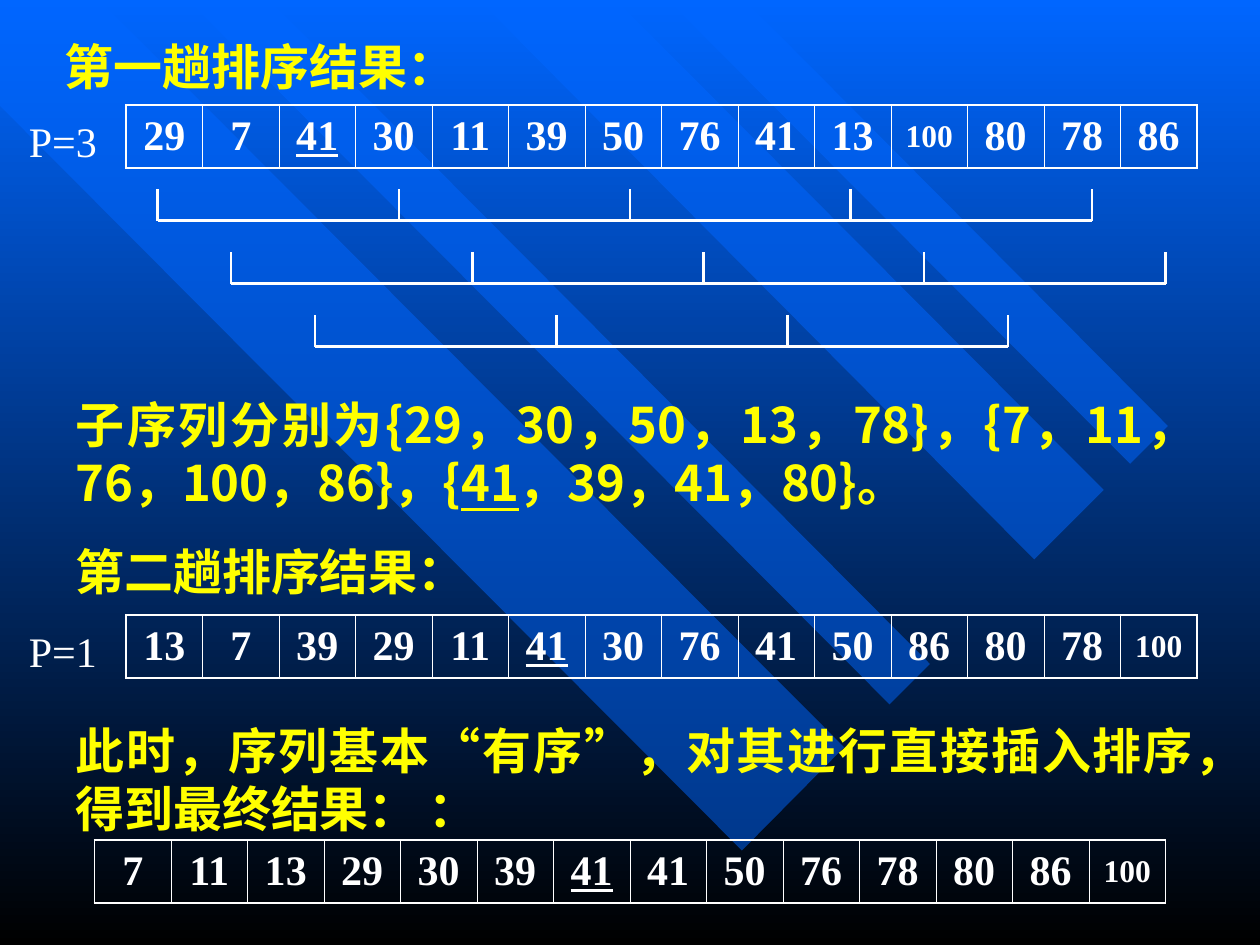
from dataclasses import dataclass

from pptx import Presentation
from pptx import util as u
from pptx.dml import color
from pptx.enum import lang, shapes, text
from pptx.oxml import xmlchemy
from pptx.oxml import ns


@dataclass(frozen=True)
class Theme:
    blue: str = "0066FF"
    black: str = "000000"
    white: str = "FFFFFF"
    yellow: str = "FFFF00"
    chinese_font: str = "Noto Sans CJK SC"
    number_font: str = "Times New Roman"
    heading_size: float = 28
    number_size: float = 24
    long_number_size: float = 18
    line_height: float = 33.1
    paragraph_gap: float = 17.5
    bracket_width: float = 1.5
    outer_border: float = 1.08
    inner_border: float = 0.45


def rgb(value):
    return color.RGBColor.from_string(value)


def add_child(parent, tag, **attributes):
    child = parent.makeelement(ns.qn(tag), attributes)
    parent.append(child)
    return child


class SlideBuilder:
    def __init__(self, slide, theme):
        self.slide = slide
        self.theme = theme

    def background(self):
        fill = self.slide.background.fill
        fill.gradient()
        fill.gradient_angle = 270
        stops = zip(fill.gradient_stops, (self.theme.blue, self.theme.black))
        for position, (stop, value) in enumerate(stops):
            stop.color.rgb = rgb(value)
            stop.position = position

    def band(self, points):
        """Draw a half-transparent diagonal band."""
        corners = [(u.Pt(x), u.Pt(y)) for x, y in points]
        builder = self.slide.shapes.build_freeform(*corners[0], scale=1.0)
        builder.add_line_segments(corners[1:], close=True)
        shape = builder.convert_to_shape()
        shape.shadow.inherit = False
        shape.line.fill.background()
        shape.fill.solid()
        shape.fill.fore_color.rgb = rgb(self.theme.blue)
        color_element = shape.fill._xPr.find(".//" + ns.qn("a:srgbClr"))
        add_child(color_element, "a:alpha", val="50000")

    def run(self, paragraph, words, size, value, name, bold=True):
        """Add one run; a leading underscore marks underlined words."""
        run = paragraph.add_run()
        run.text = words.removeprefix("_")
        font = run.font
        font.size, font.bold, font.name = u.Pt(size), bold, name
        font.color.rgb = rgb(value)
        if words.startswith("_"):
            font.underline = True
        if name == self.theme.chinese_font:
            font.language_id = lang.MSO_LANGUAGE_ID.SIMPLIFIED_CHINESE
            add_child(run._r.get_or_add_rPr(), "a:ea", typeface=name)

    def text_box(self, left, top, width, height, top_inset):
        shape = self.slide.shapes.add_textbox(*map(u.Pt, (left, top, width, height)))
        frame = shape.text_frame
        frame.word_wrap = True
        frame.margin_top = u.Pt(top_inset)
        return frame

    def prose(self, left, top, height, paragraphs):
        theme = self.theme
        frame = self.text_box(left, top, 654, height, 6.6)
        for index, runs in enumerate(paragraphs):
            paragraph = frame.add_paragraph() if index else frame.paragraphs[0]
            paragraph.alignment = text.PP_ALIGN.JUSTIFY
            paragraph.line_spacing = u.Pt(theme.line_height)
            if index:
                paragraph.space_before = u.Pt(theme.paragraph_gap)
            for words in runs:
                self.run(paragraph, words, theme.heading_size, theme.yellow,
                         theme.chinese_font)

    def step_label(self, top, words):
        frame = self.text_box(0, top, 72, 36, 6)
        paragraph = frame.paragraphs[0]
        paragraph.alignment = text.PP_ALIGN.CENTER
        self.run(paragraph, words, self.theme.number_size, self.theme.white,
                 self.theme.number_font, bold=False)

    def number_row(self, left, top, numbers):
        theme = self.theme
        count = len(numbers)
        width, height = 612, 36
        table = self.slide.shapes.add_table(
            1, count, *map(u.Pt, (left, top, width, height))).table
        table.first_row = table.horz_banding = False
        for index, number in enumerate(numbers):
            table.columns[index].width = u.Pt(width / count)
            cell = table.cell(0, index)
            self.borders(cell, index == 0, index == count - 1)
            cell.fill.background()
            cell.vertical_anchor = text.MSO_ANCHOR.MIDDLE
            paragraph = cell.text_frame.paragraphs[0]
            paragraph.alignment = text.PP_ALIGN.CENTER
            size = theme.long_number_size if number == "100" else theme.number_size
            self.run(paragraph, number, size, theme.white, theme.number_font)

    def borders(self, cell, is_first, is_last):
        properties = cell._tc.get_or_add_tcPr()
        sides = {"L": is_first, "R": is_last, "T": True, "B": True}
        for side, is_outer in sides.items():
            width = self.theme.outer_border if is_outer else self.theme.inner_border
            line = add_child(properties, f"a:ln{side}", w=str(u.Pt(width)))
            fill = add_child(line, "a:solidFill")
            add_child(fill, "a:srgbClr", val=self.theme.white)

    def line(self, x1, y1, x2, y2):
        connector = self.slide.shapes.add_connector(
            shapes.MSO_CONNECTOR.STRAIGHT, *map(u.Pt, (x1, y1, x2, y2)))
        connector.line.color.rgb = rgb(self.theme.white)
        connector.line.width = u.Pt(self.theme.bracket_width)
        add_child(connector._element.spPr, "a:effectLst")

    def bracket(self, top, teeth):
        """Join the members of one subsequence with a comb."""
        base = top + 18
        for x in teeth:
            self.line(x, top, x, base)
        self.line(teeth[0], base, teeth[-1], base)


BANDS = [
    [(482.4, 427), (56.9, 0), (0, 0), (0, 60.5), (424, 486)],
    [(154, 0), (531.4, 379.4), (508.3, 402.5), (107.3, 0)],
    [(352, 0), (630.7, 280), (591, 319.7), (273.6, 0)],
    [(381.6, 0), (645.8, 265), (667.4, 243.4), (425.5, 0)],
]
FIRST_PASS = "29 7 _41 30 11 39 50 76 41 13 100 80 78 86".split()
SECOND_PASS = "13 7 39 29 11 _41 30 76 41 50 86 80 78 100".split()
FINAL_ORDER = "7 11 13 29 30 39 _41 41 50 76 78 80 86 100".split()
TEETH = [90, 228, 360, 486, 624]
BRACKETS = [(0, 5), (42, 5), (90, 4)]  # shift to the right, number of teeth


def main():
    presentation = Presentation()
    presentation.slide_width, presentation.slide_height = u.Pt(720), u.Pt(540)
    slide = presentation.slides.add_slide(presentation.slide_layouts[6])
    builder = SlideBuilder(slide, Theme())

    builder.background()
    for points in BANDS:
        builder.band(points)

    builder.prose(30, 15, 41, [["第一趟排序结果："]])
    builder.number_row(72, 60, FIRST_PASS)
    builder.step_label(60, "P=3")
    for row, (shift, count) in enumerate(BRACKETS):
        builder.bracket(108 + 36 * row, [x + shift for x in TEETH[:count]])

    builder.prose(36, 219.6, 126, [
        ["子序列分别为{29，30，50，13，78}，{7，11，76，100，86}，{",
         "_41", "，39，41，80}。"],
        ["第二趟排序结果："],
    ])
    builder.number_row(72, 351.4, SECOND_PASS)
    builder.step_label(351.4, "P=1")

    builder.prose(36, 405.4, 75, [
        ["此时，序列基本“有序”，对其进行直接插入排序，得到最终结果： ："],
    ])
    builder.number_row(54, 480, FINAL_ORDER)
    presentation.save("out.pptx")


if __name__ == "__main__":
    main()
